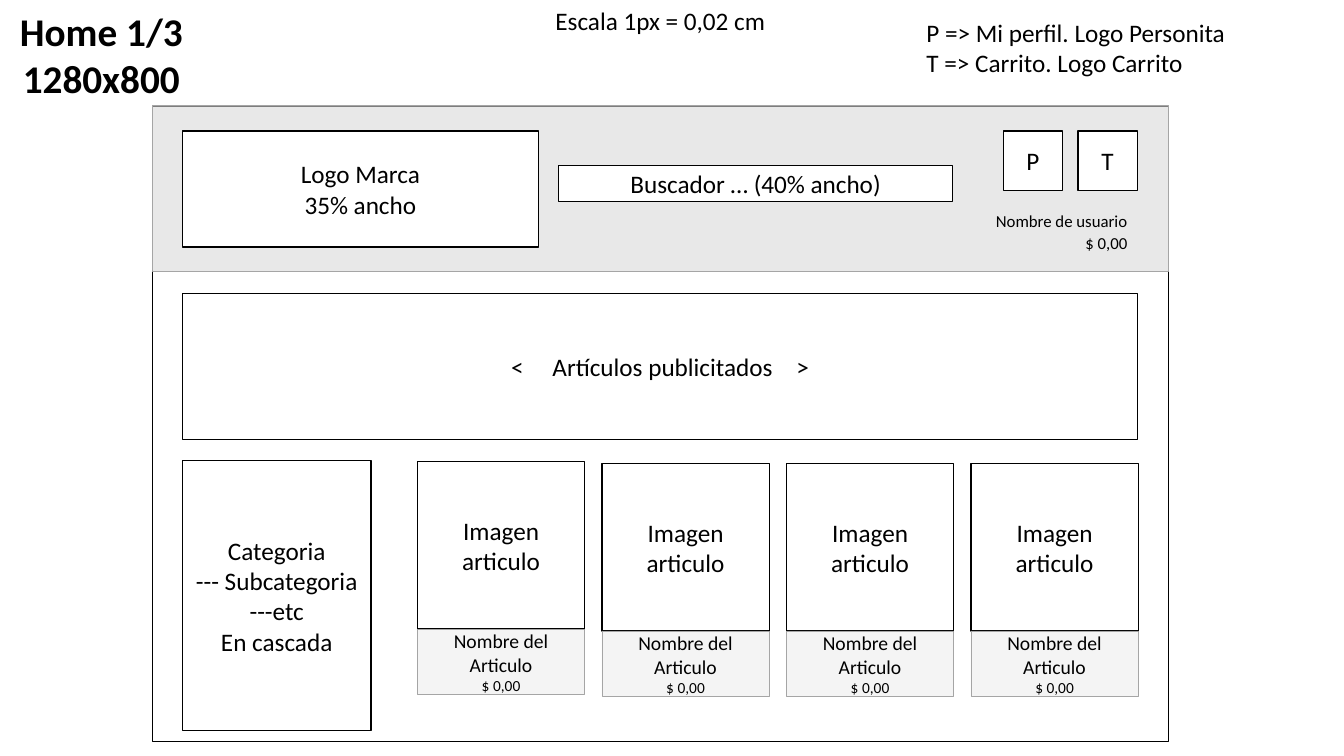
from lxml.etree import SubElement
from pptx import Presentation
from pptx.dml.color import RGBColor
from pptx.enum.shapes import MSO_SHAPE
from pptx.enum.text import MSO_ANCHOR, MSO_AUTO_SIZE, PP_ALIGN as ALIGN
from pptx.oxml.ns import qn
from pptx.util import Emu, Pt

PX = 9144
FONT = "Calibri"
COLORS = {"ink": "000000", "paper": "FFFFFF", "shade": "D9D9D9", "edge": "A5A5A5"}


def px(length):
    return Emu(length * PX)


def color(name):
    return RGBColor.from_string(COLORS[name])


def write(frame, lines, align=ALIGN.CENTER, bold=False):
    for index, (words, size) in enumerate(lines):
        paragraph = frame.paragraphs[0] if index == 0 else frame.add_paragraph()
        paragraph.alignment = align
        run = paragraph.add_run()
        run.text = words
        run.font.name = FONT
        run.font.size = Pt(size)
        run.font.bold = bold
        run.font.color.rgb = color("ink")


def add_box(parent, box, lines=(), align=ALIGN.CENTER, alpha=None):
    panel = parent.add_shape(MSO_SHAPE.RECTANGLE, *map(px, box))
    panel.shadow.inherit = False
    panel.fill.solid()
    panel.fill.fore_color.rgb = color("shade" if alpha else "paper")
    panel.line.color.rgb = color("edge" if alpha else "ink")
    panel.line.width = Pt(0.5 if alpha else 1)
    if alpha:
        tint = panel.fill._xPr.find(qn("a:solidFill"))[0]
        SubElement(tint, qn("a:alpha"), val=str(alpha * 1000))
    frame = panel.text_frame
    frame.word_wrap = True
    frame.vertical_anchor = MSO_ANCHOR.MIDDLE
    write(frame, lines, align)
    return panel


def add_label(parent, box, lines, align=ALIGN.LEFT, bold=False, wrap=False):
    frame = parent.add_textbox(*map(px, box)).text_frame
    frame.word_wrap = wrap
    frame.auto_size = MSO_AUTO_SIZE.SHAPE_TO_FIT_TEXT
    write(frame, lines, align, bold)


def add_notes_row(parent, box):
    x, y, w, h = box
    add_label(parent, (x + 9, y + 2, 183, 104),
              [("Home 1/3", 28), ("1280x800", 28)], ALIGN.CENTER, bold=True)
    add_label(parent, (x + 541, y, 231, 40), [("Escala 1px = 0,02 cm", 18)])
    add_label(parent, (x + 909, y + 12, 320, 71),
              [("P => Mi perfil. Logo Personita", 18), ("T => Carrito. Logo Carrito", 18)])


def add_header(parent, box):
    x, y, w, h = box
    add_box(parent, box, alpha=58)
    add_box(parent, (x + 30, y + 25, 353, 115), [("Logo Marca", 18), ("35% ancho", 18)])
    add_box(parent, (x + 403, y + 59, 391, 36), [("Buscador … (40% ancho)", 18)])
    for index, letter in enumerate("PT"):
        add_box(parent, (x + 844 + 74 * index, y + 25, 59, 59), [(letter, 18)])
    for index, account_line in enumerate(["Nombre de usuario", "$ 0,00"]):
        add_label(parent, (x + 783, y + 99 + 22 * index, 194, 30),
                  [(account_line, 12)], ALIGN.RIGHT, wrap=True)


def add_carousel(parent, box):
    banner = add_box(parent, box, [("<\tArtículos publicitados\t>", 18)], ALIGN.LEFT)
    frame = banner.text_frame
    frame.margin_left = px(326)
    tabs = SubElement(frame.paragraphs[0]._p.get_or_add_pPr(), qn("a:tabLst"))
    for stop in (41, 283):
        SubElement(tabs, qn("a:tab"), pos=str(px(stop)), algn="l")


def add_categories(parent, box):
    names = ["Categoria", "--- Subcategoria", "---etc", "En cascada"]
    add_box(parent, box, [(name, 18) for name in names])


def add_article(parent, box):
    x, y, w, h = box
    card = parent.add_group_shape().shapes
    add_box(card, (x, y, w, w), [("Imagen articulo", 18)])
    add_box(card, (x, y + w, w, h - w),
            [("Nombre del Articulo", 14), ("$ 0,00", 11)], alpha=28)


def add_home(parent, box):
    x, y, w, h = box
    add_box(parent, box)
    add_header(parent, (x, y - 1, w, 164))
    add_carousel(parent, (x + 30, y + 185, 947, 145))
    add_categories(parent, (x + 30, y + 351, 187, 268))
    for index, top in enumerate([352, 354, 354, 354]):
        add_article(parent, (x + 263 + 183 * index, y + top, 166, 231))


def main():
    deck = Presentation()
    deck.slide_width, deck.slide_height = px(1333), px(750)
    slide = deck.slides.add_slide(deck.slide_layouts[6])
    add_home(slide.shapes, (151, 106, 1008, 630))
    add_notes_row(slide.shapes, (0, 0, 1333, 106))
    deck.save("out.pptx")


if __name__ == "__main__":
    main()
